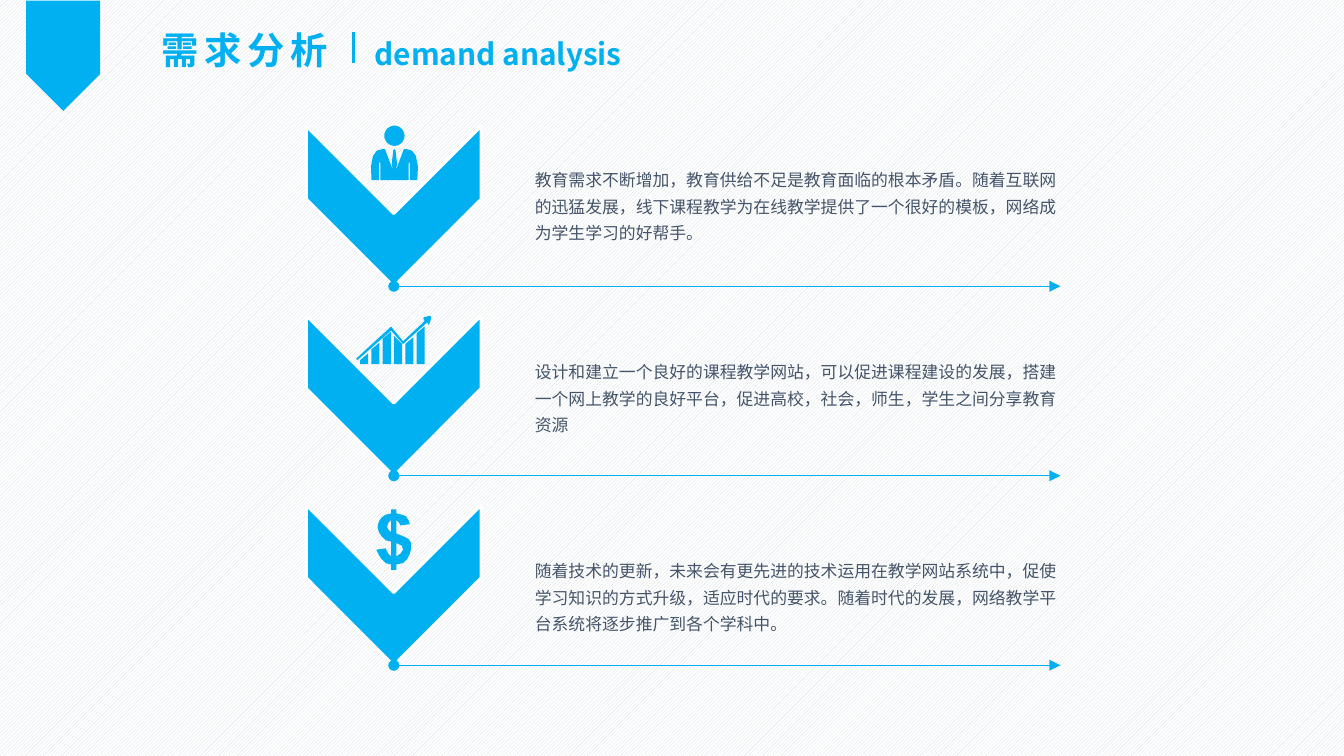
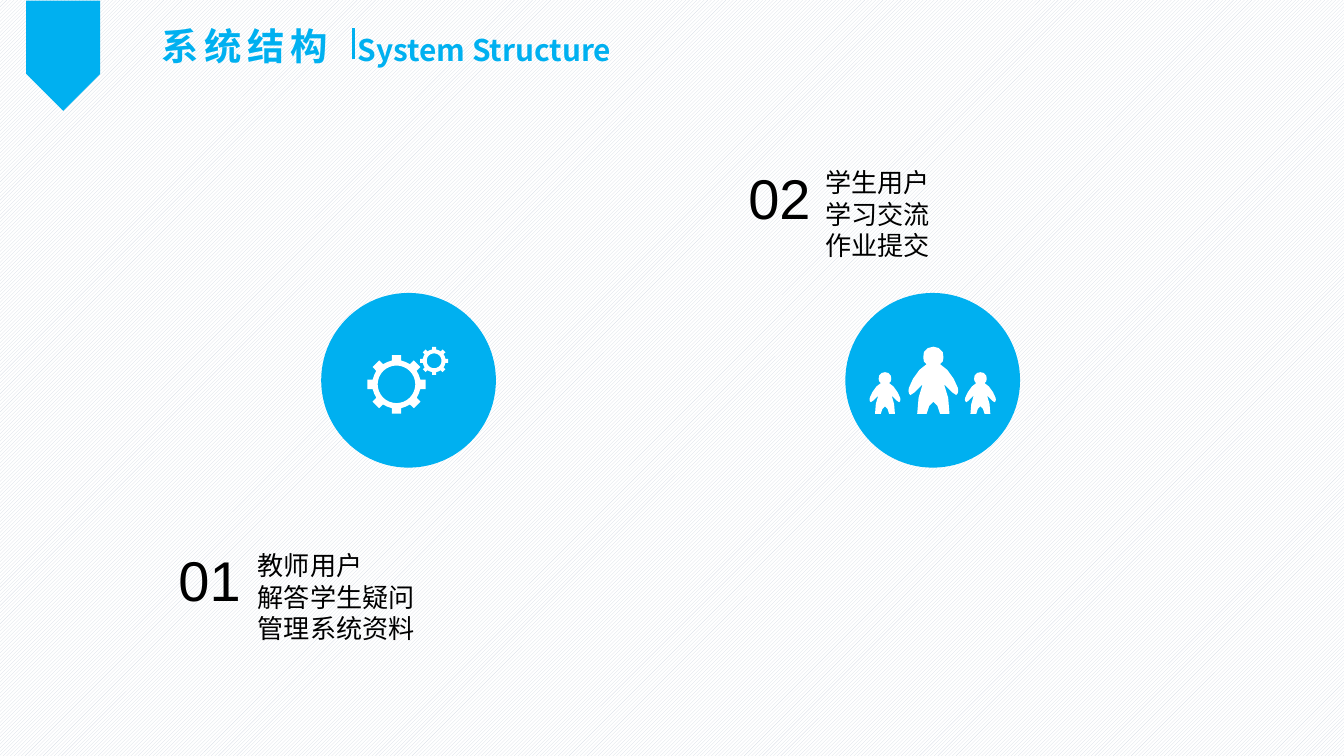
import math
from dataclasses import dataclass

from lxml import etree
from pptx import Presentation
from pptx.dml.color import RGBColor
from pptx.enum.dml import MSO_PATTERN
from pptx.enum.shapes import MSO_CONNECTOR, MSO_SHAPE
from pptx.enum.text import MSO_AUTO_SIZE, PP_ALIGN
from pptx.oxml.ns import qn
from pptx.util import Pt

STRAIGHT = MSO_CONNECTOR.STRAIGHT
PENTAGON, OVAL = MSO_SHAPE.PENTAGON, MSO_SHAPE.OVAL
STRIPES = MSO_PATTERN.LIGHT_UPWARD_DIAGONAL
GROW = MSO_AUTO_SIZE.SHAPE_TO_FIT_TEXT
LEFT, CENTER = PP_ALIGN.LEFT, PP_ALIGN.CENTER

PX = 9144  # EMU per px, 100 px to the inch
SLIDE_WIDTH = 1000 * PX
SLIDE_HEIGHT = SLIDE_WIDTH * 9 // 16


@dataclass(frozen=True)
class Theme:
    accent: str = "00B0F0"
    body: str = "44546A"
    ink: str = "000000"
    white: str = "FFFFFF"
    stripe: str = "D6DCE5"
    cjk_font: str = "Noto Sans CJK SC"
    number_font: str = "Arial"
    title_size: int = 20
    subtitle_size: int = 16
    number_size: int = 30
    list_size: int = 14
    body_size: int = 9


THEME = Theme()


def color(value):
    return RGBColor.from_string(value)


def add_formatted_run(paragraph, text, *, size, fill, font=THEME.cjk_font,
                      bold=False, spacing=0):
    run = paragraph.add_run()
    run.text = text
    run.font.size = Pt(size)
    run.font.bold = bold
    run.font.name = font
    run.font.color.rgb = color(fill)
    properties = run._r.get_or_add_rPr()
    etree.SubElement(properties, qn("a:ea"), typeface=font)
    if spacing:
        properties.set("spc", str(spacing * 100))


# Outlines, as lists of points in px
def circle(center_x, center_y, radius, steps=32):
    turns = [2 * math.pi * step / steps for step in range(steps)]
    return [(center_x + radius * math.cos(turn),
             center_y + radius * math.sin(turn)) for turn in turns]


def gear(center_x, center_y, outer, root, hole, half_tooth, teeth=8):
    points = []
    for tooth in range(teeth):
        middle = 2 * math.pi * tooth / teeth
        root_turn = math.asin(half_tooth / root)
        outer_turn = math.asin(half_tooth / outer)
        for turn, radius in ((-root_turn, root), (-outer_turn, outer),
                             (outer_turn, outer), (root_turn, root),
                             (math.pi / teeth, root)):
            points.append((center_x + radius * math.cos(middle + turn),
                           center_y + radius * math.sin(middle + turn)))
    return [points, circle(center_x, center_y, hole)]


def mirrored(half, center_x, top, scale=1):
    """Closes a right half, given from its top axis point to its bottom one."""
    outline = half + [(-x, y) for x, y in reversed(half[1:-1])]
    return [(center_x + x * scale, top + y * scale) for x, y in outline]


CHEVRON = [(130, 54), (65, 119), (0, 54), (0, 0), (65, 65), (130, 0)]

SUIT_HALF = [(0, 0), (1, 1), (1, 2), (2, 11), (1, 16), (4, 8), (7, 0), (9, 0),
             (13, 1), (16, 5), (17.5, 13), (17, 23), (11.5, 23), (11.5, 10),
             (10.5, 10), (10.5, 23), (0, 23)]
BUSINESSMAN = [circle(293.5, 101, 7.5), mirrored(SUIT_HALF, 293.5, 111)]

BAR_TOPS = [(268, 263), (260, 255), (252, 247), (250, 256), (256, 251), (248, 243)]
TREND = [(265, 267), (291, 243), (300, 254), (316, 239), (315, 237), (316, 236),
         (320, 235), (321, 236), (320, 240), (319, 242), (318, 240), (300, 256),
         (291, 246), (266, 268)]
GROWTH_CHART = [TREND]
for index, (left_top, right_top) in enumerate(BAR_TOPS):
    bar_left = 268 + 8.4 * index
    GROWTH_CHART.append([(bar_left, left_top), (bar_left + 6, right_top),
                         (bar_left + 6, 271), (bar_left, 271)])

DOLLAR = [
    [(291, 414), (291, 403), (287, 402), (284, 399), (282, 396), (281, 392),
     (282, 388), (284, 385), (287, 383), (291, 382), (291, 379), (295, 379),
     (295, 382), (299, 383), (302, 384), (304, 387), (305, 390), (298, 391),
     (297, 389), (295, 387), (295, 397), (300, 399), (304, 401), (306, 404),
     (306, 408), (305, 412), (303, 416), (300, 419), (295, 420), (295, 424),
     (291, 424), (291, 420), (287, 419), (284, 416), (282, 413), (280, 409),
     (287, 408), (289, 412)],
    [(291, 387), (289, 389), (288, 392), (289, 394), (291, 396)],
    [(295, 414), (298, 412), (300, 409), (299, 406), (295, 404)],
]

GEARS = gear(295, 286, 22, 18, 14, 3.5) + gear(323, 268.5, 10.5, 8.5, 5.5, 1.5)

STUDENT_HALF = [(0, 0), (4, 1), (7, 4), (7.5, 8), (7, 11), (5, 13), (10.4, 17.3),
                (15.2, 24), (18.2, 30.7), (18.5, 33), (18, 35), (17, 36),
                (14, 34), (8, 28), (11, 38), (12, 50), (5, 50), (3, 44), (0, 41)]
STUDENTS = [mirrored(STUDENT_HALF, 658.5, 277, 0.62),
            mirrored(STUDENT_HALF, 729.5, 277, 0.62),
            mirrored(STUDENT_HALF, 694.5, 258)]


class Deck:
    def __init__(self, theme):
        self.theme = theme
        self.presentation = Presentation()
        self.presentation.slide_width = SLIDE_WIDTH
        self.presentation.slide_height = SLIDE_HEIGHT
        self.slide = None

    def add_slide(self, title, subtitle, *, top, subtitle_box, subtitle_align=LEFT):
        """Starts a slide with the striped ground, the band and the title."""
        theme = self.theme
        self.slide = self.presentation.slides.add_slide(
            self.presentation.slide_layouts[6])
        ground = self.slide.background.fill
        ground.patterned()
        ground.pattern = STRIPES
        ground.fore_color.rgb = color(theme.stripe)
        ground.back_color.rgb = color(theme.white)

        band = self.shape(PENTAGON, 6, 14, 82, 55, theme.accent)
        band.rotation = 90
        self.text([title], 110, top, 148, 44, size=theme.title_size,
                  fill=theme.accent, bold=True, spacing=3)
        left, width = subtitle_box
        self.text([subtitle], left, top + 7, width, 37, align=subtitle_align,
                  size=theme.subtitle_size, fill=theme.accent, bold=True)
        self.line(263, top + 9, 263, top + 32, weight=1.5)

    def paint(self, shape, fill, outline=None):
        shape.shadow.inherit = False
        shape.fill.solid()
        shape.fill.fore_color.rgb = color(fill)
        if outline:
            shape.line.color.rgb = color(outline)
            shape.line.width = Pt(1.5)
        else:
            shape.line.fill.background()
        return shape

    def shape(self, kind, left, top, width, height, fill):
        shape = self.slide.shapes.add_shape(
            kind, left * PX, top * PX, width * PX, height * PX)
        return self.paint(shape, fill)

    def freeform(self, contours, fill, outline=None):
        """Draws closed contours as one shape, to a tenth of a px."""
        fine = [[(round(x * 10), round(y * 10)) for x, y in contour]
                for contour in contours]
        builder = self.slide.shapes.build_freeform(*fine[0][0], scale=PX / 10)
        for index, contour in enumerate(fine):
            if index:
                builder.move_to(*contour[0])
            builder.add_line_segments(contour[1:], close=True)
        return self.paint(builder.convert_to_shape(), fill, outline)

    def line(self, start_x, start_y, end_x, end_y, *, weight, head=None, tail=None):
        connector = self.slide.shapes.add_connector(
            STRAIGHT, start_x * PX, start_y * PX, end_x * PX, end_y * PX)
        connector.line.color.rgb = color(self.theme.accent)
        connector.line.width = Pt(weight)
        line_properties = connector.line._get_or_add_ln()
        for tag, kind in (("a:headEnd", head), ("a:tailEnd", tail)):
            if kind:
                etree.SubElement(line_properties, qn(tag), type=kind)
        etree.SubElement(connector._element.spPr, qn("a:effectLst"))

    def text(self, lines, left, top, width, height, *, wrap=False, insets=(10, 5),
             align=LEFT, line_spacing=None, **run_format):
        box = self.slide.shapes.add_textbox(
            left * PX, top * PX, width * PX, height * PX)
        frame = box.text_frame
        frame.word_wrap = wrap
        frame.auto_size = GROW
        frame.margin_left = frame.margin_right = insets[0] * PX
        frame.margin_top = frame.margin_bottom = insets[1] * PX
        for index, line in enumerate(lines):
            paragraph = frame.add_paragraph() if index else frame.paragraphs[0]
            paragraph.alignment = align
            if line_spacing:
                paragraph.line_spacing = line_spacing
            add_formatted_run(paragraph, line, **run_format)


def build_demand_slide(deck):
    theme = deck.theme
    deck.add_slide("需求分析", "demand analysis", top=15, subtitle_box=(269, 206))
    demands = [
        (BUSINESSMAN, 118, "教育需求不断增加，教育供给不足是教育面临的根本矛盾。随着互联网的迅猛发展，"
         "线下课程教学为在线教学提供了一个很好的模板，网络成为学生学习的好帮手。"),
        (GROWTH_CHART, 261, "设计和建立一个良好的课程教学网站，可以促进课程建设的发展，"
         "搭建一个网上教学的良好平台，促进高校，社会，师生，学生之间分享教育资源"),
        (DOLLAR, 409, "随着技术的更新，未来会有更先进的技术运用在教学网站系统中，"
         "促使学习知识的方式升级，适应时代的要求。随着时代的发展，"
         "网络教学平台系统将逐步推广到各个学科中。"),
    ]
    for row, (icon, text_top, demand) in enumerate(demands):
        top = 94 + 141 * row
        chevron = [(228 + x, top + y) for x, y in CHEVRON]
        deck.freeform([chevron], theme.accent, outline=theme.white)
        deck.freeform(icon, theme.accent)
        deck.text([demand], 391, text_top, 410, 66, wrap=True, insets=(7, 4),
                  line_spacing=1.3, size=theme.body_size, fill=theme.body)
        deck.line(293, top + 119, 789, top + 119, weight=0.5,
                  head="oval", tail="triangle")


def build_structure_slide(deck):
    theme = deck.theme
    deck.add_slide("系统结构", "System Structure", top=12,
                   subtitle_box=(255, 211), subtitle_align=CENTER)
    # Icon, circle left, number place, list place, list lines
    users = [
        (GEARS, 239, "01", (123, 401), (182, 404, 137),
         ["教师用户", "解答学生疑问", "管理系统资料"]),
        (STUDENTS, 629, "02", (547, 117), (604, 119, 98),
         ["学生用户", "学习交流", "作业提交"]),
    ]
    for icon, circle_left, number, number_place, list_place, lines in users:
        deck.shape(OVAL, circle_left, 218, 130, 130, theme.accent)
        deck.freeform(icon, theme.white)
        left, top, width = list_place
        deck.text(lines, left, top, width, 81, size=theme.list_size, fill=theme.ink)
        deck.text([number], *number_place, 67, 61, size=theme.number_size,
                  fill=theme.ink, font=theme.number_font)


def main():
    deck = Deck(THEME)
    build_demand_slide(deck)
    build_structure_slide(deck)
    deck.presentation.save("out.pptx")


if __name__ == "__main__":
    main()
